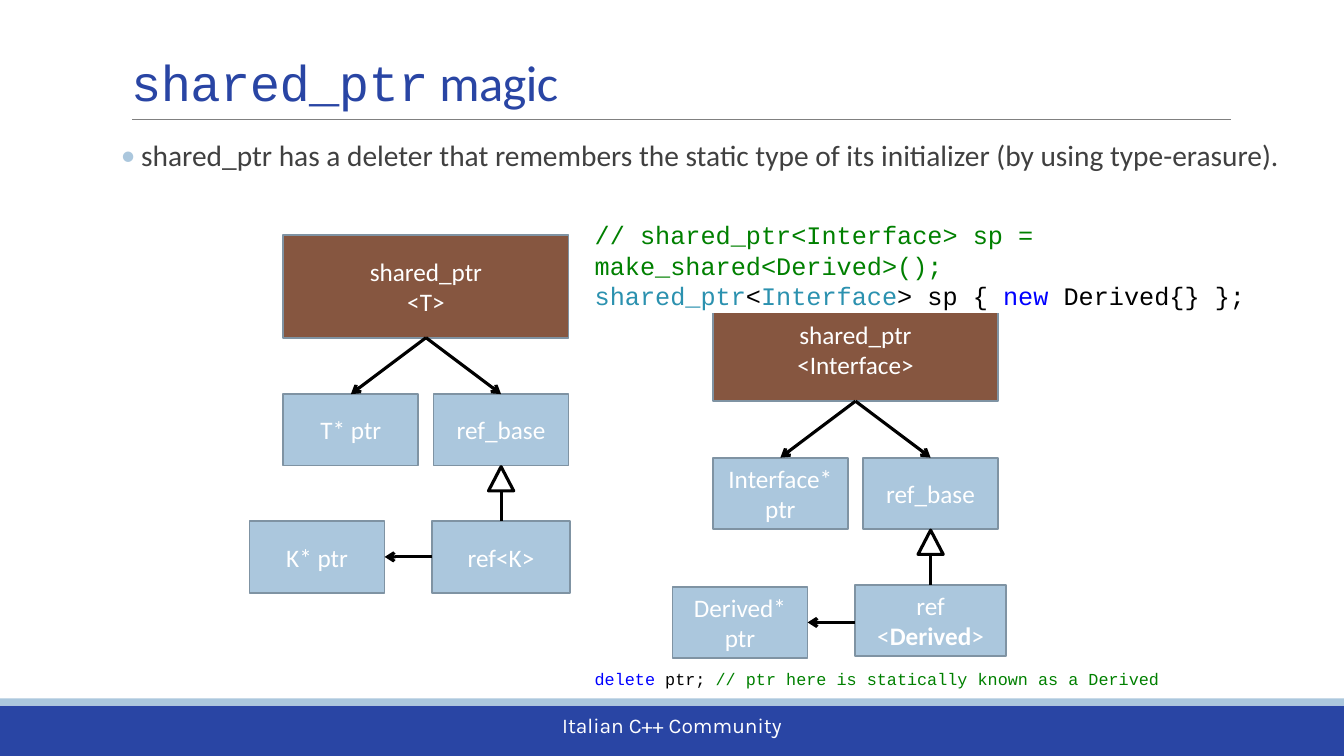
from lxml import etree
from pptx import Presentation
from pptx.dml.color import RGBColor
from pptx.enum import shapes, text
from pptx.oxml.ns import qn
from pptx.util import Inches, Pt

W, H = 13.33, 7.5
SANS, MONO = "Calibri", "Courier New"
COLORS = dict(navy="2945A4", sky="ABC7DD", brown="865640", edge="7F93A3",
              rule="808080", body="404040", white="FFFFFF", black="000000",
              note="008000", kind="2B91AF", word="0000FF")

# A paragraph is a list of (text, format) runs.
TITLE = [[("shared_ptr", dict(font=MONO)), (" magic", {})]]
POINT = [[("shared_ptr has a deleter that remembers the static type of its "
           "initializer (by using type-erasure).", {})]]
FOOTER = [[("Italian C++ Community", {})]]
CODE = [
    [("// shared_ptr<Interface> sp = make_shared<Derived>();", dict(color="note"))],
    [("shared_ptr", dict(color="kind")), ("<", {}), ("Interface", dict(color="kind")),
     ("> sp { ", {}), ("new", dict(color="word")), (" Derived{} };", {})],
]
DELETE = [[("delete", dict(color="word")), (" ptr; ", {}),
           ("// ptr here is statically known as a Derived", dict(color="note"))]]
TREES = [
    dict(left=2.81, top=2.33, ref_w=1.37, drop=0,
         head=[[("shared_ptr\n<T>", {})]], ptr=[[("T* ptr", {})]],
         ref=[[("ref<K>", {})]], real=[[("K* ptr", {})]]),
    dict(left=7.07, top=2.96, ref_w=1.5, drop=0.02,
         head=[[("shared_ptr\n<Interface>", {})]], ptr=[[("Interface* ptr", {})]],
         ref=[[("ref", {})], [("<", {}), ("Derived", dict(bold=True)), (">", {})]],
         real=[[("Derived* ptr", {})]]),
]
BASE = [[("ref_base", {})]]

# Tree grid, in inches
HEAD_W, HEAD_H = 2.83, 1.02
BOX_W, BOX_H = 1.34, 0.71
ROW_2, ROW_3 = 1.58, 2.84
GAP, TIP_W, TIP_H = 0.47, 0.25, 0.24

prs = Presentation()
prs.slide_width, prs.slide_height = Inches(W), Inches(H)
slide = prs.slides.add_slide(prs.slide_layouts[5])


def rgb(name):
    return RGBColor.from_string(COLORS[name])


def add_hue(parent, tag, name):
    node = etree.SubElement(parent, qn(tag))
    etree.SubElement(node, qn("a:srgbClr")).set("val", COLORS[name])


def style(run, size=18, font=SANS, color="white", bold=False, mark=None, track=None):
    run.font.size, run.font.bold = Pt(size), bold
    run.font.color.rgb = rgb(color)
    props = run._r.get_or_add_rPr()
    if mark:
        add_hue(props, "a:highlight", mark)
    if track:
        props.set("spc", str(track))
    run.font.name = font


def write(frame, paras, align=text.PP_ALIGN.LEFT, anchor=text.MSO_ANCHOR.TOP, **fmt):
    frame.word_wrap = True
    frame.auto_size = text.MSO_AUTO_SIZE.NONE
    frame.vertical_anchor = anchor
    for i, runs in enumerate(paras):
        para = frame.add_paragraph() if i else frame.paragraphs[0]
        para.alignment = align
        for words, own in runs:
            for j, line in enumerate(words.split("\n")):
                if j:
                    para.add_line_break()
                run = para.add_run()
                run.text = line
                style(run, **{**fmt, **own})
    return frame


def label(x, y, w, h, paras, **fmt):
    box = slide.shapes.add_textbox(*map(Inches, (x, y, w, h)))
    return write(box.text_frame, paras, **fmt)


def block(x, y, w, h, fill, paras=None, edge=None, weight=1.25,
          form=shapes.MSO_SHAPE.RECTANGLE):
    shape = slide.shapes.add_shape(form, *map(Inches, (x, y, w, h)))
    shape.shadow.inherit = False
    shape.fill.solid()
    shape.fill.fore_color.rgb = rgb(fill)
    if edge:
        shape.line.color.rgb = rgb(edge)
        shape.line.width = Pt(weight)
    else:
        shape.line.fill.background()
    if paras:
        write(shape.text_frame, paras, align=text.PP_ALIGN.CENTER,
              anchor=text.MSO_ANCHOR.MIDDLE)


def link(x1, y1, x2, y2, arrow=True, color="black", weight=2.25):
    line = slide.shapes.add_connector(shapes.MSO_CONNECTOR.STRAIGHT,
                                      *map(Inches, (x1, y1, x2, y2)))
    line.line.color.rgb = rgb(color)
    line.line.width = Pt(weight)
    if arrow:
        etree.SubElement(line.line._ln, qn("a:tailEnd")).set("type", "arrow")
    etree.SubElement(line._element.spPr, qn("a:effectLst"))


def tree(left, top, ref_w, drop, head, ptr, ref, real):
    """Draw one pointer with its two parts and the type-erased owner."""
    right = left + HEAD_W - BOX_W
    mid, base = left + HEAD_W / 2, right + BOX_W / 2
    row2, row3 = top + ROW_2, top + ROW_3
    ref_x = base - ref_w / 2
    real_x = ref_x - GAP - BOX_W
    block(left, top, HEAD_W, HEAD_H, "brown", head, "edge")
    block(left, row2, BOX_W, BOX_H, "sky", ptr, "edge")
    block(right, row2, BOX_W, BOX_H, "sky", BASE, "edge")
    block(ref_x, row3, ref_w, BOX_H, "sky", ref, "edge")
    block(real_x, row3 + drop, BOX_W, BOX_H, "sky", real, "edge")
    for x in (left + BOX_W / 2, base):
        link(mid, top + HEAD_H, x, row2)
    tip = row2 + BOX_H + 0.01
    link(base, row3, base, tip + TIP_H, arrow=False)
    block(base - TIP_W / 2, tip, TIP_W, TIP_H, "white", edge="black", weight=2.25,
          form=shapes.MSO_SHAPE.ISOSCELES_TRIANGLE)
    level = row3 + drop + BOX_H / 2
    link(ref_x, level, real_x + BOX_W, level)


# Footer band and title rule
block(0, 7, W, 0.5, "navy")
block(0, 6.93, W, 0.07, "sky")
label(0, 7.02, W, 0.35, FOOTER, align=text.PP_ALIGN.CENTER, size=15, font="Karla")
link(1.31, 1.18, 12.21, 1.18, arrow=False, color="rule", weight=0.5)

title = slide.shapes.title
title.left, title.top, title.width, title.height = map(Inches, (1.2, 0.01, 11, 1.15))
write(title.text_frame, TITLE, anchor=text.MSO_ANCHOR.BOTTOM, size=36,
      color="navy", track=-40)
title.text_frame.paragraphs[0].line_spacing = 0.85

point = label(1.2, 1.35, 11.69, 5.39, POINT, size=21, color="body")
point.margin_left = point.margin_right = 0
para = point.paragraphs[0]
para.line_spacing, para.space_after = 0.9, Pt(1.5)
props = para._p.get_or_add_pPr()
props.set("marL", str(Inches(0.2)))
props.set("indent", str(Inches(-0.2)))
add_hue(props, "a:buClr", "sky")
etree.SubElement(props, qn("a:buFont")).set("typeface", SANS)
etree.SubElement(props, qn("a:buChar")).set("char", "•")

for spec in TREES:
    tree(**spec)

label(5.8, 2.13, 7.66, 0.71, CODE, font=MONO, color="black", mark="white")
label(5.8, 6.59, 6.67, 0.3, DELETE, size=12, font=MONO, color="black", mark="white")

prs.save("out.pptx")
